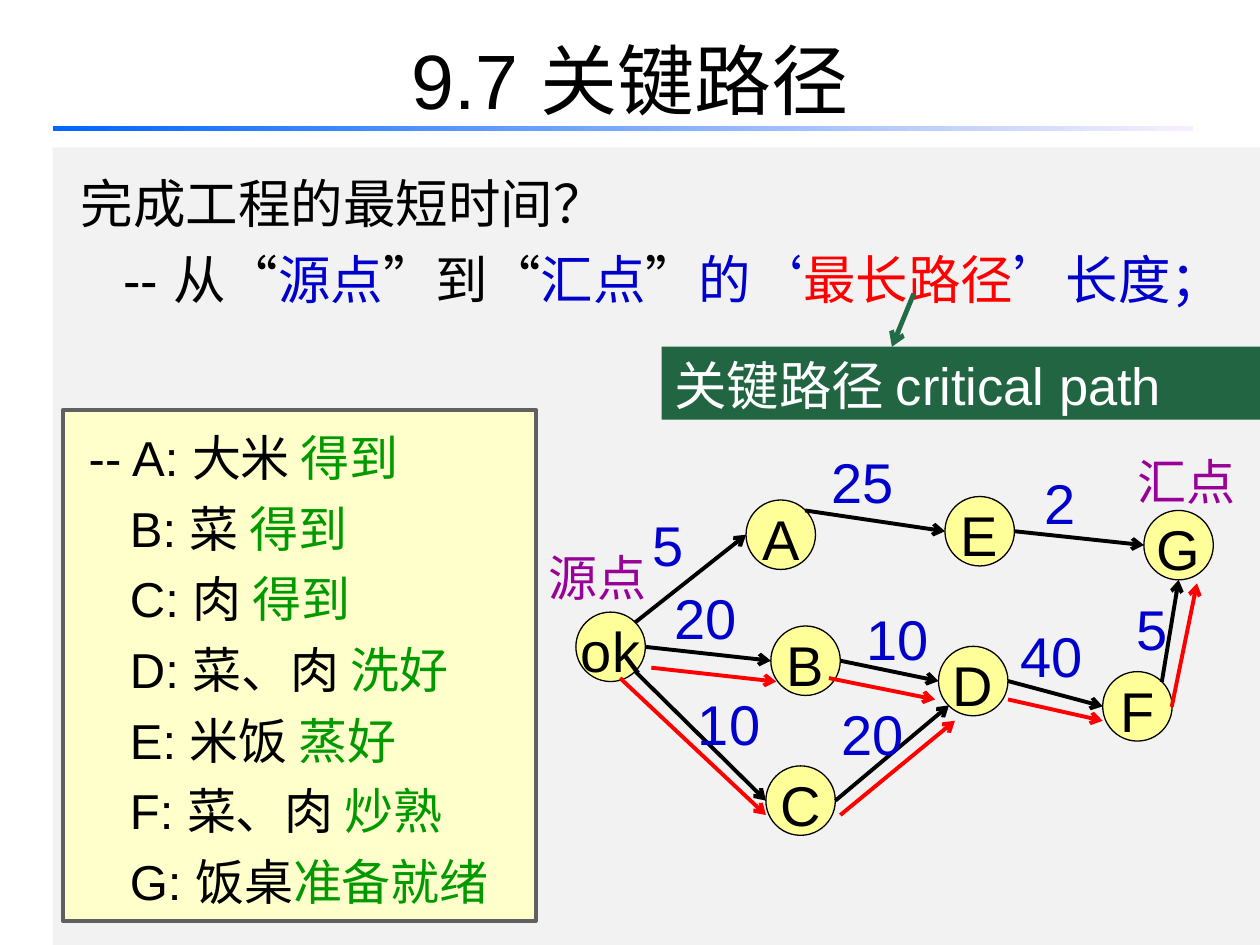
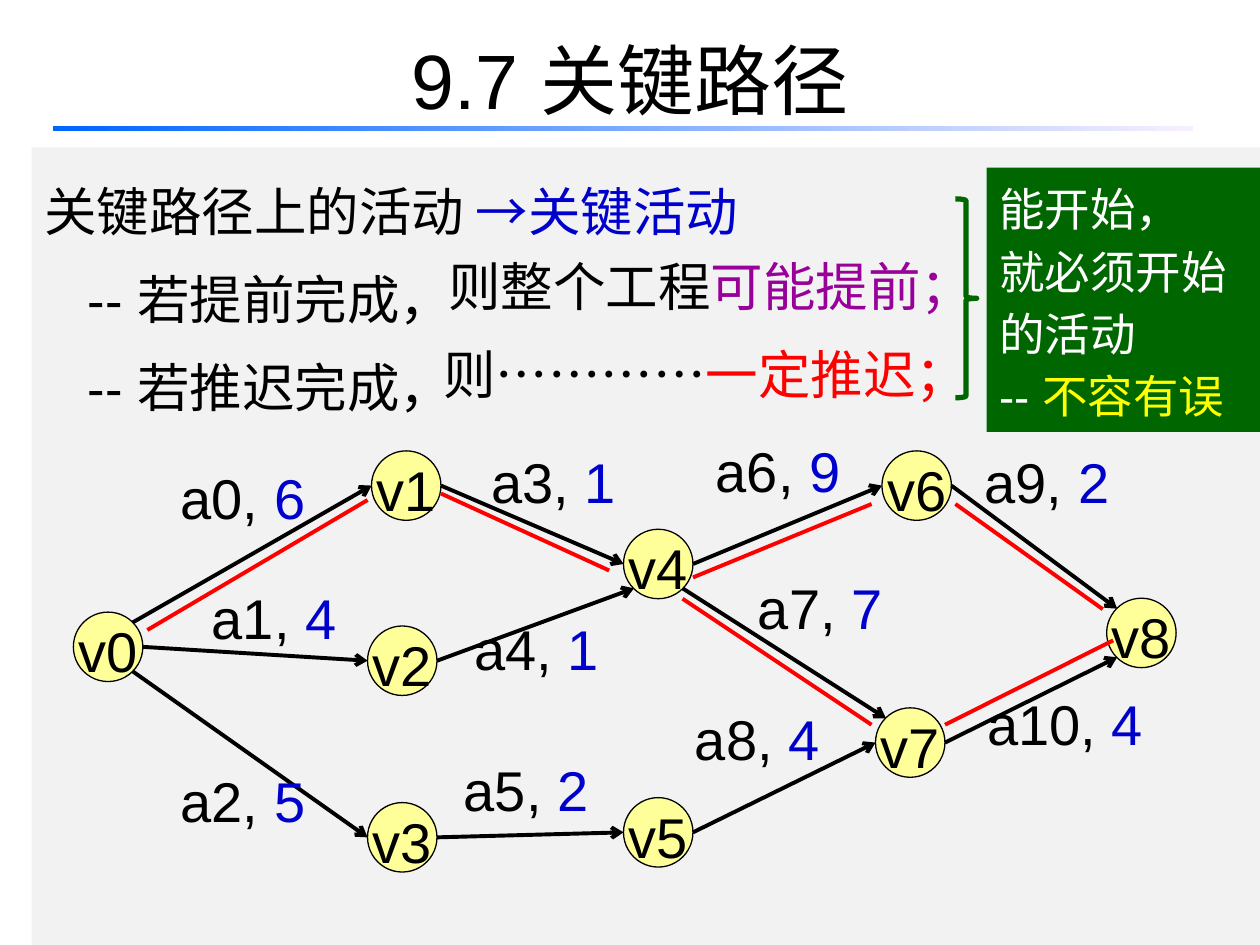
from dataclasses import dataclass, field
from typing import Any, NamedTuple

import lxml.etree
import pptx
import pptx.dml.color
import pptx.enum.shapes
import pptx.enum.text
import pptx.oxml.ns
import pptx.util

Cm = pptx.util.Cm
Pt = pptx.util.Pt
Shape = pptx.enum.shapes.MSO_SHAPE
Align = pptx.enum.text.PP_ALIGN
Anchor = pptx.enum.text.MSO_ANCHOR
AutoSize = pptx.enum.text.MSO_AUTO_SIZE
qn = pptx.oxml.ns.qn

SLIDE_WIDTH, SLIDE_HEIGHT = 25.4, 19.05
NODE_SIZE = 1.4


# Theme: every colour and type size
@dataclass(frozen=True)
class Theme:
    font: str = "Arial"
    black: str = "000000"
    white: str = "FFFFFF"
    blue: str = "0000CC"
    red: str = "FF0000"
    purple: str = "990099"
    green: str = "009900"
    yellow: str = "FFFF00"
    panel: str = "F2F2F2"
    bar_start: str = "0066FF"
    bar_end: str = "F7EFFF"
    callout: str = "216543"
    pointer: str = "236B47"
    note: str = "006600"
    node: str = "FFFF99"
    box: str = "FFFFCC"
    box_line: str = "606060"
    title_size: int = 44
    node_size: int = 32
    body_size: int = 30
    list_size: int = 28
    note_size: int = 26


T = Theme()


# Content records; all lengths are centimetres
class Run(NamedTuple):
    text: str
    color: str = T.black


class Line(NamedTuple):
    runs: list[Run]
    indent: float = 0


class Frame(NamedTuple):
    left: float
    top: float
    width: float
    height: float


class Node(NamedTuple):
    name: str
    left: float
    top: float


class Edge(NamedTuple):
    start: str
    start_site: str
    end: str
    end_site: str


class Label(NamedTuple):
    runs: list[Run]
    left: float
    top: float
    width: float
    size: int = T.node_size


class Segment(NamedTuple):
    x1: float
    y1: float
    x2: float
    y2: float


@dataclass
class Network:
    nodes: list[Node]
    edges: list[Edge]
    labels: list[Label]
    critical: list[Segment]
    critical_arrows: bool = field(default=True)


# Fractions of the circle's frame where edges touch it
SITES = {"left": (0, 0.5), "right": (1, 0.5), "bottom": (0.5, 1),
         "top_left": (0.15, 0.15), "top_right": (0.85, 0.15),
         "bottom_left": (0.15, 0.85), "bottom_right": (0.85, 0.85)}


def rgb(color: str) -> pptx.dml.color.RGBColor:
    return pptx.dml.color.RGBColor.from_string(color)


def apply_format(target: Any, values: dict[str, Any]) -> None:
    for name, value in values.items():
        setattr(target, name, value)


def write_lines(frame: Any, lines: list[Line], size: int, spacing: float = 1.0,
                align: Any = Align.LEFT, **frame_format: Any) -> None:
    apply_format(frame, {"word_wrap": True, "vertical_anchor": Anchor.TOP, **frame_format})
    for number, line in enumerate(lines):
        paragraph = frame.add_paragraph() if number else frame.paragraphs[0]
        apply_format(paragraph, {"alignment": align, "line_spacing": spacing})
        if line.indent:
            paragraph._p.get_or_add_pPr().set("marL", str(Cm(line.indent)))
        for text, color in line.runs:
            run = paragraph.add_run()
            run.text = text
            apply_format(run.font, {"name": T.font, "size": Pt(size)})
            run.font.color.rgb = rgb(color)


def add_block(slide: Any, kind: Any, frame: Frame, fill: str | None = None,
              line: str | None = None, weight: float = 0.75) -> Any:
    block = slide.shapes.add_shape(kind, *map(Cm, frame))
    block.shadow.inherit = False
    if fill:
        block.fill.solid()
        block.fill.fore_color.rgb = rgb(fill)
    else:
        block.fill.background()
    if line:
        block.line.color.rgb = rgb(line)
        block.line.width = Pt(weight)
    else:
        block.line.fill.background()
    return block


def add_text(slide: Any, frame: Frame, runs: list[Run], size: int, wrap: bool = False) -> None:
    box = slide.shapes.add_textbox(*map(Cm, frame))
    write_lines(box.text_frame, [Line(runs)], size, word_wrap=wrap,
                auto_size=AutoSize.SHAPE_TO_FIT_TEXT)


def add_line(slide: Any, segment: Segment, color: str, weight: float = 2.25,
             arrow: bool = True) -> None:
    connector = slide.shapes.add_connector(
        pptx.enum.shapes.MSO_CONNECTOR.STRAIGHT, *map(Cm, segment))
    connector.line.color.rgb = rgb(color)
    connector.line.width = Pt(weight)
    if arrow:
        lxml.etree.SubElement(connector.line._get_or_add_ln(), qn("a:tailEnd"), type="arrow")
    lxml.etree.SubElement(connector._element.spPr, qn("a:effectLst"))


def add_network(slide: Any, network: Network) -> None:
    places = {node.name: node for node in network.nodes}

    def touch(name: str, site: str) -> tuple[float, float]:
        across, down = SITES[site]
        return (places[name].left + across * NODE_SIZE, places[name].top + down * NODE_SIZE)

    for name, left, top in network.nodes:
        circle = add_block(slide, Shape.OVAL, Frame(left, top, NODE_SIZE, NODE_SIZE),
                           T.node, T.black)
        write_lines(circle.text_frame, [Line([Run(name)])], T.node_size, 1.1, Align.CENTER,
                    word_wrap=False, vertical_anchor=Anchor.MIDDLE)
    for edge in network.edges:
        add_line(slide, Segment(*touch(edge.start, edge.start_site),
                                *touch(edge.end, edge.end_site)), T.black)
    for runs, left, top, width, size in network.labels:
        add_text(slide, Frame(left, top, width, 1.8 if size == T.node_size else 1.6), runs, size)
    for segment in network.critical:
        add_line(slide, segment, T.red, arrow=network.critical_arrows)


# Shared slide base: title, gradient bar, grey panel with its text
def add_base(deck: Any, panel_left: float, lines: list[Line], spacing: float,
             margin_top: float = 0.13) -> Any:
    slide = deck.slides.add_slide(deck.slide_layouts[5])
    heading = slide.shapes.title
    apply_format(heading, {"left": Cm(1.27), "top": Cm(0), "width": Cm(22.86),
                           "height": Cm(3.18)})
    write_lines(heading.text_frame, [Line([Run("9.7 关键路径")])], T.title_size,
                align=Align.CENTER, vertical_anchor=Anchor.MIDDLE)
    bar = add_block(slide, Shape.RECTANGLE, Frame(1.06, 2.54, 22.99, 0.1))
    bar.fill.gradient()
    bar.fill.gradient_angle = 0
    for stop, color in zip(bar.fill.gradient_stops, (T.bar_start, T.bar_end)):
        stop.color.rgb = rgb(color)
    panel = add_block(slide, Shape.RECTANGLE, Frame(
        panel_left, 2.97, SLIDE_WIDTH - panel_left, SLIDE_HEIGHT - 2.97), T.panel)
    write_lines(panel.text_frame, lines, T.body_size, spacing, Align.JUSTIFY,
                margin_top=Cm(margin_top))
    return slide


def weight_label(value: str, left: float, top: float) -> Label:
    return Label([Run(value, T.blue)], left, top, 0.51 + 0.63 * len(value))


def activity_label(name: str, value: str, left: float, top: float) -> Label:
    return Label([Run(f"{name}, "), Run(value, T.blue)], left, top, 1.79 + 0.63 * len(name))


# Slide 1: shortest time as the longest path
def build_longest_path(deck: Any) -> None:
    slide = add_base(deck, 1.06, [
        Line([Run("完成工程的最短时间？")], 0.32),
        Line([Run("-- 从“"), Run("源点", T.blue), Run("”到“"), Run("汇点", T.blue), Run("”"),
              Run("的‘", T.blue), Run("最长路径", T.red), Run("’长度；", T.blue)], 1.18),
    ], 1.2, margin_top=0.23)
    callout = add_block(slide, Shape.RECTANGLE, Frame(13.34, 6.99, 12.06, 1.47), T.callout)
    write_lines(callout.text_frame, [Line([Run("关键路径 critical path", T.white)])], T.body_size)
    add_line(slide, Segment(18.42, 5.92, 17.98, 6.99), T.pointer, 2.75)

    # Meaning of each event
    events = [("-- A: 大米 ", "得到"), ("B: 菜 ", "得到"), ("C: 肉 ", "得到"),
              ("D: 菜、肉 ", "洗好"), ("E: 米饭 ", "蒸好"), ("F: 菜、肉 ", "炒熟"),
              ("G: 饭桌", "准备就绪")]
    legend = add_block(slide, Shape.RECTANGLE, Frame(1.27, 8.26, 9.53, 10.31),
                       T.box, T.box_line, 2.25)
    write_lines(legend.text_frame,
                [Line([Run(item), Run(state, T.green)], 1.1 if number else 0.27)
                 for number, (item, state) in enumerate(events)],
                T.list_size, 1.2, Align.JUSTIFY, auto_size=AutoSize.SHAPE_TO_FIT_TEXT)

    add_network(slide, Network(
        nodes=[Node("A", 15.04, 10.08), Node("B", 15.54, 12.62), Node("C", 15.44, 15.44),
               Node("D", 18.92, 13.03), Node("E", 19.05, 10.01), Node("F", 22.23, 13.54),
               Node("G", 23.06, 10.29), Node("ok", 11.61, 12.34)],
        edges=[Edge("ok", "top_right", "A", "left"), Edge("ok", "right", "B", "left"),
               Edge("ok", "bottom_right", "C", "left"), Edge("A", "top_right", "E", "left"),
               Edge("B", "right", "D", "left"), Edge("C", "right", "D", "bottom_left"),
               Edge("D", "right", "F", "left"), Edge("E", "right", "G", "left"),
               Edge("F", "top_right", "G", "bottom")],
        labels=[Label([Run("源点", T.purple)], 10.8, 10.92, 2.51, T.list_size),
                Label([Run("汇点", T.purple)], 22.68, 8.97, 2.51, T.list_size),
                weight_label("5", 12.9, 10.16), weight_label("20", 13.34, 11.63),
                weight_label("10", 13.82, 13.77), weight_label("20", 16.71, 13.97),
                weight_label("10", 17.22, 12.07), weight_label("25", 16.51, 8.89),
                weight_label("5", 22.66, 11.86), weight_label("2", 20.8, 9.32),
                weight_label("40", 20.32, 12.4)],
        critical=[Segment(13.13, 13.46, 15.65, 13.74), Segment(16.71, 13.67, 18.85, 14.1),
                  Segment(20.32, 14.1, 22.23, 14.53), Segment(12.5, 13.67, 15.44, 16.43),
                  Segment(16.94, 16.43, 19.25, 14.53), Segment(23.62, 14.25, 24.13, 11.76)]))


# Slide 2: critical activities
def build_critical_activities(deck: Any) -> None:
    slide = add_base(deck, 0.64, [
        Line([Run("关键路径上的活动 "), Run("→关键活动", T.blue)]),
        Line([Run("-- 若提前完成，")], 0.88),
        Line([Run("-- 若推迟完成，")], 0.88)], 1.4)
    add_text(slide, Frame(8.79, 5, 11.33, 1.7),
             [Run("则整个工程"), Run("可能提前；", T.purple)], T.body_size, wrap=True)
    add_text(slide, Frame(8.69, 6.78, 11.2, 1.7),
             [Run("则…………"), Run("一定推迟；", T.red)], T.body_size)

    add_network(slide, Network(
        nodes=[Node("v0", 1.48, 12.34), Node("v1", 7.49, 9.09), Node("v2", 7.41, 12.62),
               Node("v3", 7.41, 16.18), Node("v4", 12.57, 10.67), Node("v5", 12.57, 16.08),
               Node("v6", 17.78, 9.09), Node("v7", 17.65, 14.27), Node("v8", 22.31, 12.06)],
        edges=[Edge("v0", "top_right", "v1", "left"), Edge("v0", "right", "v2", "left"),
               Edge("v0", "bottom_right", "v3", "left"), Edge("v1", "right", "v4", "left"),
               Edge("v2", "right", "v4", "bottom_left"), Edge("v3", "right", "v5", "left"),
               Edge("v4", "right", "v6", "left"), Edge("v4", "bottom_right", "v7", "top_left"),
               Edge("v5", "right", "v7", "left"), Edge("v6", "right", "v8", "top_left"),
               Edge("v7", "right", "v8", "bottom_left")],
        labels=[activity_label("a0", "6", 3.39, 9.22), activity_label("a1", "4", 4.02, 11.63),
                activity_label("a2", "5", 3.39, 15.32), activity_label("a3", "1", 9.65, 8.89),
                activity_label("a4", "1", 9.31, 12.27), activity_label("a5", "2", 9.1, 15.11),
                activity_label("a6", "9", 14.18, 8.68), activity_label("a7", "7", 15.03, 11.43),
                activity_label("a8", "4", 13.76, 14.08), activity_label("a9", "2", 19.6, 8.89),
                activity_label("a10", "4", 19.65, 13.77)],
        critical=[Segment(2.97, 12.7, 7.41, 10.08), Segment(8.89, 9.95, 12.28, 11.5),
                  Segment(13.97, 11.64, 17.57, 10.16), Segment(19.26, 10.16, 22.23, 12.28),
                  Segment(13.76, 12.07, 17.57, 14.61), Segment(19.05, 14.61, 22.44, 12.91)],
        critical_arrows=False))

    # Conclusion beside the brace
    add_block(slide, Shape.RIGHT_BRACE, Frame(19.26, 4.01, 0.43, 4.01), line=T.note, weight=3)
    conclusion = add_block(slide, Shape.RECTANGLE, Frame(19.89, 3.38, 5.51, 5.33), T.note)
    write_lines(conclusion.text_frame, [
        *(Line([Run(text, T.white)]) for text in ("能开始，", "就必须开始", "的活动")),
        Line([Run("-- ", T.white), Run("不容有误", T.yellow)]),
    ], T.note_size, 1.14, auto_size=AutoSize.SHAPE_TO_FIT_TEXT)


def main() -> None:
    deck = pptx.Presentation()
    apply_format(deck, {"slide_width": Cm(SLIDE_WIDTH), "slide_height": Cm(SLIDE_HEIGHT)})
    build_longest_path(deck)
    build_critical_activities(deck)
    deck.save("out.pptx")


if __name__ == "__main__":
    main()
